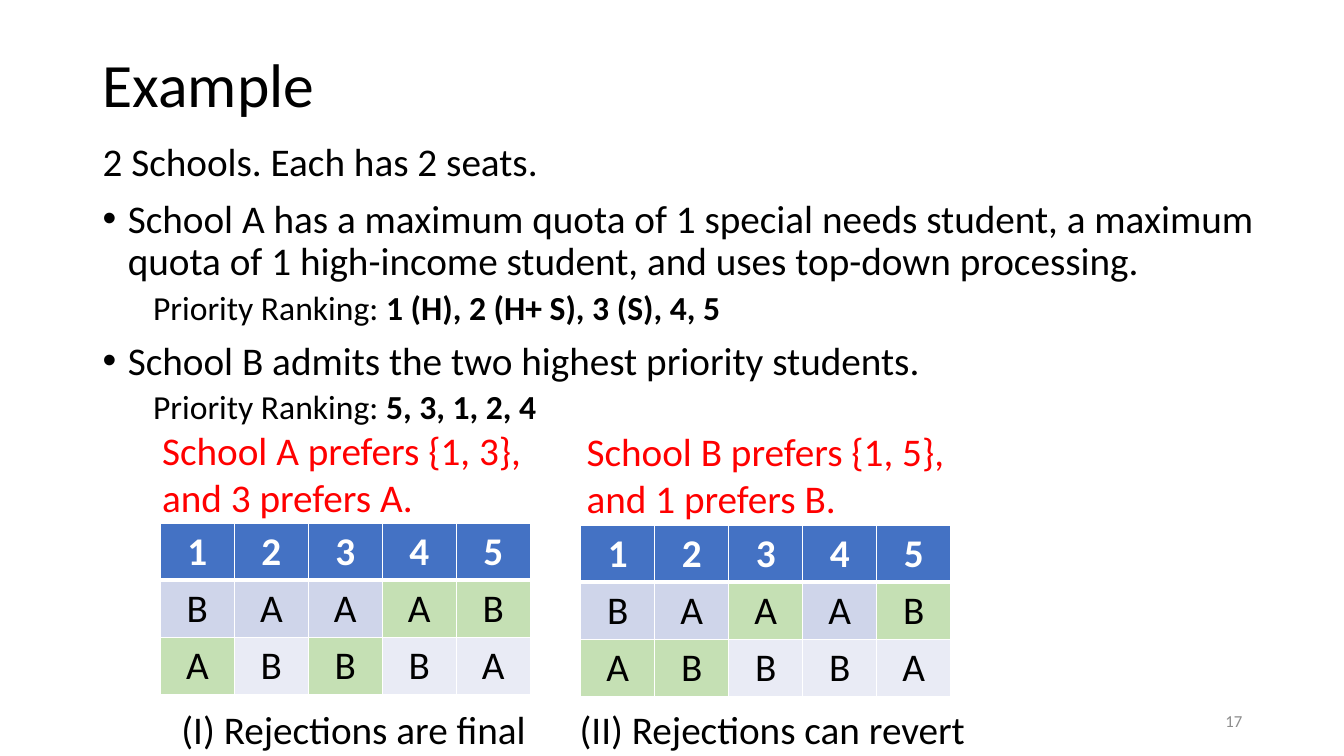
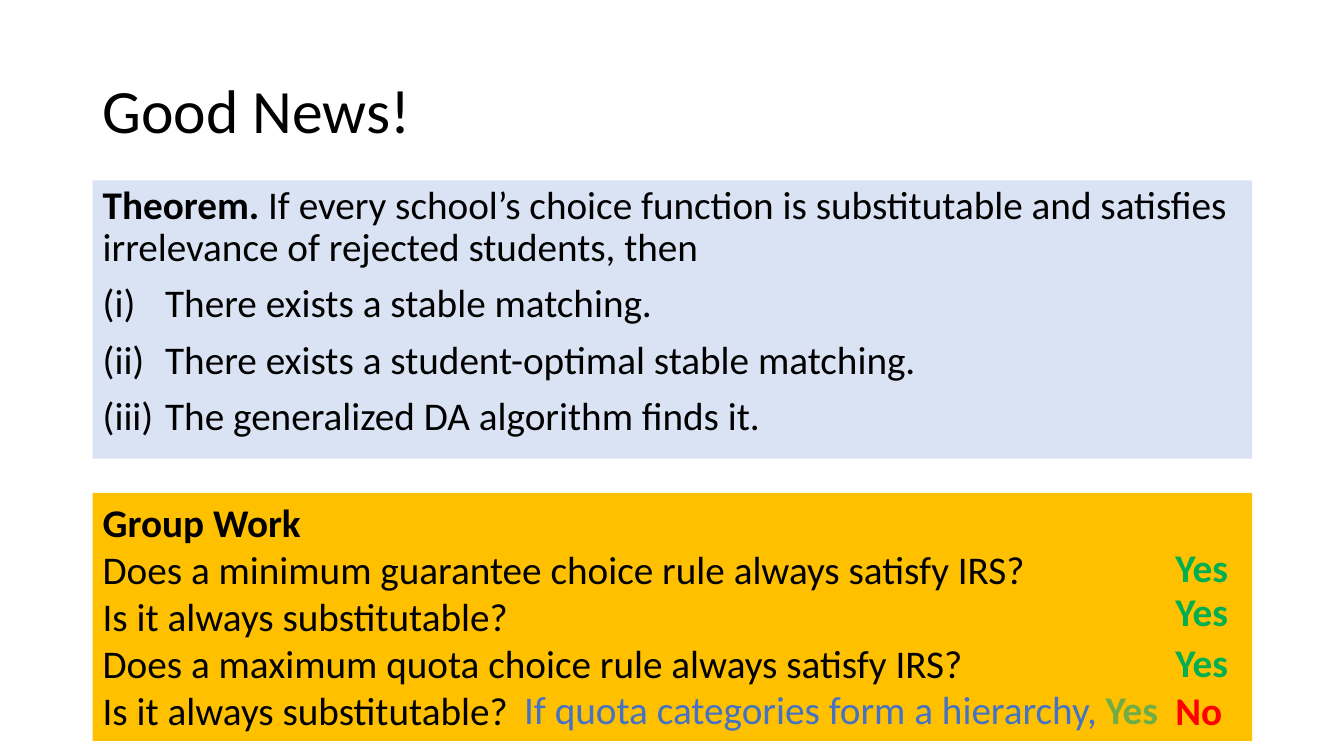
from lxml.etree import SubElement
from pptx import Presentation
from pptx.dml.color import RGBColor
from pptx.enum.shapes import MSO_SHAPE
from pptx.enum.text import MSO_ANCHOR, MSO_AUTO_SIZE, PP_ALIGN
from pptx.oxml.ns import qn
from pptx.util import Inches, Pt

FONT = "Calibri"
BLACK = RGBColor(0x00, 0x00, 0x00)
WHITE = RGBColor(0xFF, 0xFF, 0xFF)
GRAY = RGBColor(0x8C, 0x8C, 0x8C)
RED = RGBColor(0xFF, 0x00, 0x00)
GREEN = RGBColor(0x00, 0xB0, 0x50)
SOFT_GREEN = RGBColor(0x70, 0xAD, 0x47)
BLUE = RGBColor(0x44, 0x72, 0xC4)
PALE_BLUE = RGBColor(0xDA, 0xE3, 0xF3)
GOLD = RGBColor(0xFF, 0xC0, 0x00)
MATCHED = RGBColor(0xC5, 0xE0, 0xB4)
ROW_FILLS = [BLUE, RGBColor(0xCF, 0xD5, 0xEA), RGBColor(0xE9, 0xEB, 0xF5)]

LEFT, WIDTH = 0.92, 11.5

# Paragraph style: left margin, first-line indent, line spacing, space before, bullet
STYLES = {
    "plain": (0, 0, None, 0, None),
    "lead": (0, 0, 0.9, 0, None),
    "bullet": (0.25, -0.25, 0.9, 10, ("a:buChar", "char", "•")),
    "roman": (0.62, -0.62, 0.9, 10, ("a:buAutoNum", "type", "romanLcParenBoth")),
    "detail": (0.5, 0, 0.9, 5, None),
}


def add_span(para, text, size=28, color=BLACK, bold=False):
    span = para.add_run()
    span.text = text
    span.font.name = FONT
    span.font.size = Pt(size)
    span.font.color.rgb = color
    span.font.bold = bold


def add_box(page, place, paragraphs, fill=None, anchor=MSO_ANCHOR.TOP,
            align=PP_ALIGN.LEFT, wrap=True):
    """Each paragraph is a style name followed by the arguments of its spans."""
    place = [Inches(length) for length in place]
    if fill is None:
        box = page.shapes.add_textbox(*place)
    else:
        box = page.shapes.add_shape(MSO_SHAPE.RECTANGLE, *place)
        box.shadow.inherit = False
        box.fill.solid()
        box.fill.fore_color.rgb = fill
        box.line.fill.background()
    frame = box.text_frame
    frame.word_wrap = wrap
    frame.vertical_anchor = anchor
    if not wrap:
        frame.auto_size = MSO_AUTO_SIZE.SHAPE_TO_FIT_TEXT
    for index, (style, *spans) in enumerate(paragraphs):
        para = frame.add_paragraph() if index else frame.paragraphs[0]
        margin, indent, line_spacing, space_before, bullet = STYLES[style]
        properties = para._p.get_or_add_pPr()
        properties.set("marL", str(Inches(margin)))
        properties.set("indent", str(Inches(indent)))
        if bullet:
            tag, key, value = bullet
            SubElement(properties, qn("a:buFont")).set(
                "typeface", "Arial" if tag == "a:buChar" else FONT)
            SubElement(properties, qn(tag)).set(key, value)
        para.alignment = align
        para.line_spacing = line_spacing
        para.space_before = Pt(space_before)
        for span in spans:
            add_span(para, *span)


deck = Presentation()
deck.slide_width, deck.slide_height = Inches(13.33), Inches(7.5)

# Pages with their titles
pages = []
for title, top in [("Example", 0.14), ("Good News!", 0.4)]:
    page = deck.slides.add_slide(deck.slide_layouts[6])
    add_box(page, (LEFT, top, WIDTH, 1.45), [("lead", (title, 44))],
            anchor=MSO_ANCHOR.MIDDLE)
    pages.append(page)
example, news = pages

# Example: the two schools
add_box(example, (LEFT, 1.37, 11.97, 4.76), [
    ("lead", ("2 Schools. Each has 2 seats.",)),
    ("bullet", ("School A has a maximum quota of 1 special needs student, a maximum "
                "quota of 1 high-income student, and uses top-down processing.",)),
    ("detail", ("Priority Ranking:", 24),
     (" 1 (H), 2 (H+ S), 3 (S), 4, 5", 24, BLACK, True)),
    ("bullet", ("School B admits the two highest priority students.",)),
    ("detail", ("Priority Ranking:", 24), (" 5, 3, 1, 2, 4", 24, BLACK, True)),
])
add_box(example, (9.42, 6.95, 3, 0.4), [("plain", ("17", 12, GRAY))],
        anchor=MSO_ANCHOR.MIDDLE, align=PP_ALIGN.RIGHT)

# Example: student preferences, with matched (row, column) cells highlighted
PREFERENCES = ["12345", "BAAAB", "ABBBA"]
outcomes = [
    (1.59, 5.19, {(1, 3), (1, 4), (2, 0), (2, 2)}),
    (5.76, 5.21, {(1, 2), (1, 4), (2, 0), (2, 1)}),
]
for left, top, matches in outcomes:
    table = example.shapes.add_table(
        3, 5, Inches(left), Inches(top), Inches(3.67), Inches(1.7)).table
    table.horz_banding = False
    for column in table.columns:
        column.width = Inches(3.67 / 5)
    for row, letters in enumerate(PREFERENCES):
        table.rows[row].height = Inches(1.7 / 3)
        for column, letter in enumerate(letters):
            cell = table.cell(row, column)
            properties = cell._tc.get_or_add_tcPr()
            for side in "LRTB":
                thick = (row, side) in [(0, "B"), (1, "T")]
                border = SubElement(properties, qn(f"a:ln{side}"))
                border.set("w", str(Pt(3 if thick else 1)))
                paint = SubElement(border, qn("a:solidFill"))
                SubElement(paint, qn("a:srgbClr")).set("val", str(WHITE))
            cell.fill.solid()
            cell.fill.fore_color.rgb = (
                MATCHED if (row, column) in matches else ROW_FILLS[row])
            para = cell.text_frame.paragraphs[0]
            para.alignment = PP_ALIGN.CENTER
            header = row == 0
            add_span(para, letter, 28, WHITE if header else BLACK, header)

# Example: remarks above and captions below the tables
for left, top, remark in [
    (1.51, 4.18, "School A prefers {1, 3}, and 3 prefers A."),
    (5.72, 4.19, "School B prefers {1, 5}, and 1 prefers B."),
]:
    add_box(example, (left, top, 3.93, 1.04), [("plain", (remark, 28, RED))])
for left, width, caption in [
    (1.7, 3.66, "(I) Rejections are final"),
    (5.65, 4.07, "(II) Rejections can revert"),
]:
    add_box(example, (left, 6.95, width, 0.57), [("plain", (caption,))], wrap=False)

# Good news: theorem
add_box(news, (LEFT, 1.79, WIDTH, 2.76), [
    ("lead", ("Theorem. ", 28, BLACK, True),
     ("If every school’s choice function is substitutable and satisfies "
      "irrelevance of rejected students, then",)),
    ("roman", ("There exists a stable matching.",)),
    ("roman", ("There exists a student-optimal stable matching.",)),
    ("roman", ("The generalized DA algorithm finds it.",)),
], fill=PALE_BLUE)

# Good news: group work and answers
add_box(news, (LEFT, 4.89, WIDTH, 2.46), [
    ("plain", ("Group Work", 28, BLACK, True)),
    ("plain", ("Does a minimum guarantee choice rule always satisfy IRS?",)),
    ("plain", ("Is it always substitutable?",)),
    ("plain", ("Does a maximum quota choice rule always satisfy IRS?",)),
    ("plain", ("Is it always substitutable?",)),
], fill=GOLD)
for top, width, answer, color in [
    (5.34, 0.73, "Yes", GREEN),
    (5.78, 0.73, "Yes", GREEN),
    (6.28, 0.73, "Yes", GREEN),
    (6.76, 0.67, "No", RED),
]:
    add_box(news, (11.56, top, width, 0.57), [("plain", (answer, 28, color, True))],
            wrap=False)
add_box(news, (5.1, 6.75, 6.79, 0.57), [
    ("plain", ("If quota categories form a hierarchy, ", 28, BLUE),
     ("Yes", 28, SOFT_GREEN, True)),
], wrap=False)

deck.save("out.pptx")
